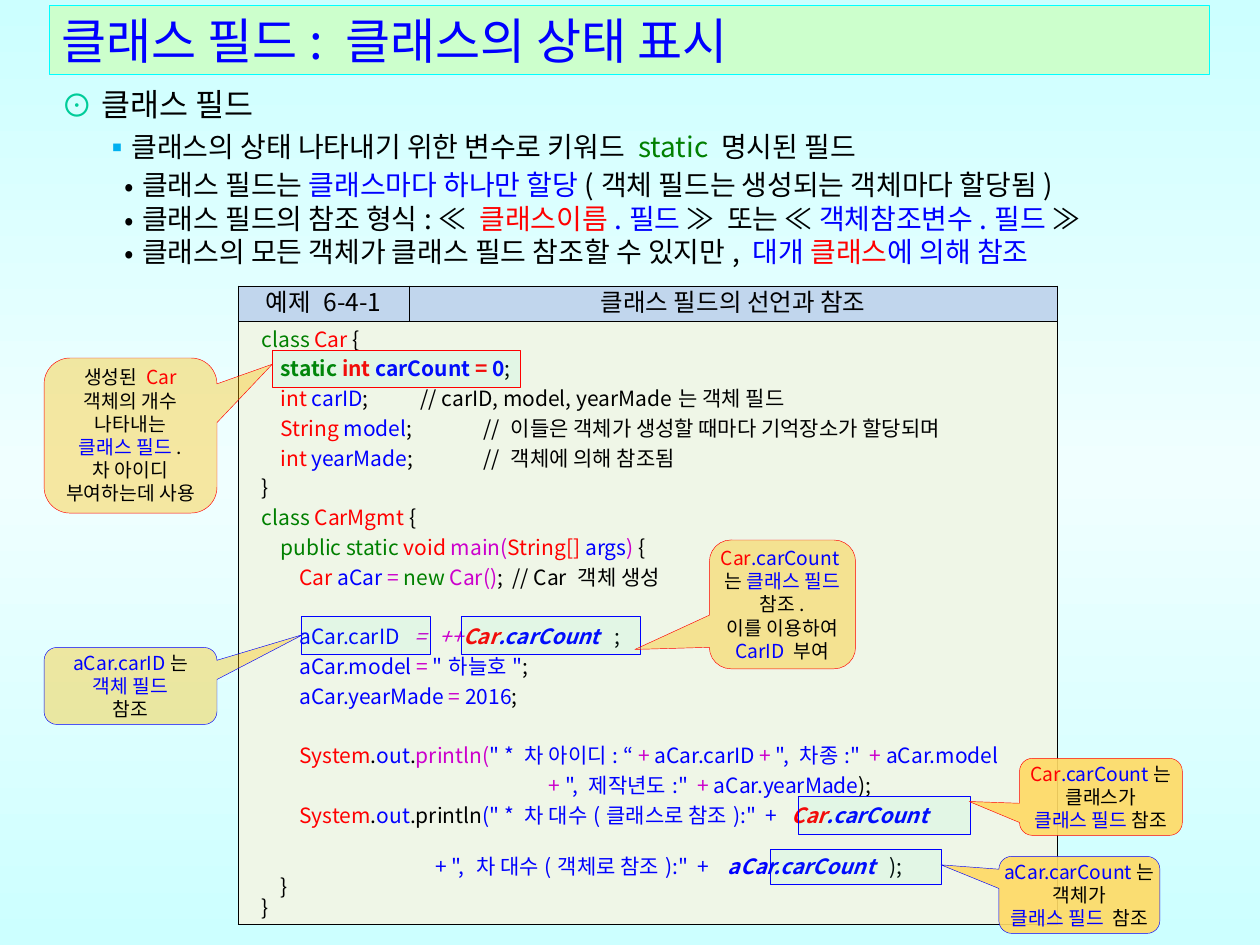
from lxml import etree
from pptx import Presentation
from pptx.dml.color import RGBColor
from pptx.enum.shapes import MSO_SHAPE
from pptx.enum.text import MSO_ANCHOR, MSO_AUTO_SIZE, PP_ALIGN
from pptx.oxml.ns import qn
from pptx.util import Pt

MIDDLE, TOP = MSO_ANCHOR.MIDDLE, MSO_ANCHOR.TOP
LEFT, CENTER = PP_ALIGN.LEFT, PP_ALIGN.CENTER
CALL, BOX = MSO_SHAPE.ROUNDED_RECTANGULAR_CALLOUT, MSO_SHAPE.ROUNDED_RECTANGLE
FIXED = MSO_AUTO_SIZE.NONE

THEME = {
    "font": "Noto Sans CJK KR",
    "title": 28, "head": 18, "body": 16, "label": 14, "code": 12, "note": 11,
    "black": "000000", "blue": "0000FF", "red": "FF0000", "green": "008000",
    "pink": "CC00CC", "teal": "00CC99", "sky": "00B0F0", "aqua": "00FFFF",
    "mint": "CCFFCC", "bar": "C1D6ED", "page": "EFF6E7",
    "gold": "FFC000", "sand": "FFDA65", "mark": "00FFCC",
    "back": [(0, "CCFFFF"), (50, "F0FFFF"), (100, "CCFFFF")],
}

# Text marks: "~" and a letter start a run in that style (colour, bold, italic)
STYLES = {
    "k": ("black", False, False), "b": ("blue", False, False),
    "r": ("red", False, False), "g": ("green", False, False),
    "m": ("pink", False, False), "M": ("pink", False, True),
    "B": ("blue", True, False), "R": ("red", True, False),
    "G": ("green", True, False),
    "X": ("red", True, True), "Y": ("blue", True, True),
}


def write(par, text, size, line=None, gap=0, align=LEFT):
    par.alignment = align
    par.space_before = Pt(gap)
    if line:
        par.line_spacing = Pt(line)
    par.font.name = THEME["font"]
    par.font.size = Pt(THEME[size])
    props = par._p.pPr.find(qn("a:defRPr"))
    etree.SubElement(props, qn("a:ea"), typeface=THEME["font"])
    for part in text.split("~")[1:]:
        color, bold, slant = STYLES[part[0]]
        run = par.add_run()
        run.text = part[1:]
        run.font.color.rgb = RGBColor.from_string(THEME[color])
        if bold:
            run.font.bold = True
        if slant:
            run.font.italic = True


def paint(shape, fill, line, alpha=100):
    shape.fill.solid()
    shape.fill.fore_color.rgb = RGBColor.from_string(THEME[fill])
    shape.line.color.rgb = RGBColor.from_string(THEME[line])
    shape.line.width = Pt(0.25)
    shape.shadow.inherit = False
    if alpha < 100:
        tint = shape._element.spPr.find(qn("a:solidFill"))[0]
        etree.SubElement(tint, qn("a:alpha"), val=str(alpha * 1000))


deck = Presentation()
deck.slide_width, deck.slide_height = Pt(720), Pt(540)
slide = deck.slides.add_slide(deck.slide_layouts[1])

# Background
back = slide.background.fill
back.gradient()
back.gradient_angle = 90
stops = slide._element.find(".//" + qn("a:gsLst"))
for old in list(stops):
    stops.remove(old)
for spot, color in THEME["back"]:
    stop = etree.SubElement(stops, qn("a:gs"), pos=str(spot * 1000))
    etree.SubElement(stop, qn("a:srgbClr"), val=color)

# Title
title = slide.shapes.title
title.left, title.top, title.width, title.height = Pt(28), Pt(3), Pt(663), Pt(39.6)
paint(title, "mint", "aqua")
title.text_frame.auto_size = FIXED
title.text_frame.vertical_anchor = MIDDLE
write(title.text_frame.paragraphs[0], "~b클래스 필드: 클래스의 상태 표시", "title")

# Bullet list: sign, sign colour, indent, hang, size, line, gap, text
ITEMS = [
    ("⊙", "teal", 23, 23, "head", 22, 0, "~k클래스 필드"),
    ("▪", "sky", 39, 15, "body", 22, 1,
     "~k클래스의 상태 나타내기 위한 변수로 키워드 ~gstatic ~k명시된 필드"),
    ("•", "black", 46, 10, "body", 22, 0,
     "~k클래스 필드는 ~b클래스마다 하나만 할당~k(객체 필드는 생성되는 객체마다 할당됨)"),
    ("•", "black", 46, 10, "body", 19, 0,
     "~k클래스 필드의 참조 형식: ≪ ~r클래스이름~b.필드 ~k≫  또는 ≪ ~b객체참조변수.필드 ~k≫"),
    ("•", "black", 46, 10, "body", 19, 0,
     "~k클래스의 모든 객체가 클래스 필드 참조할 수 있지만, ~b대개 ~r클래스~b에 의해 참조"),
]
body = slide.placeholders[1]
body.left, body.top, body.width, body.height = Pt(28), Pt(44.6), Pt(675), Pt(113)
frame = body.text_frame
frame.auto_size = FIXED
frame.vertical_anchor = TOP
for i, (sign, color, left, hang, size, line, gap, text) in enumerate(ITEMS):
    par = frame.add_paragraph() if i else frame.paragraphs[0]
    props = par._p.get_or_add_pPr()
    props.set("marL", str(Pt(left)))
    props.set("indent", str(-Pt(hang)))
    tint = etree.SubElement(props, qn("a:buClr"))
    etree.SubElement(tint, qn("a:srgbClr"), val=THEME[color])
    etree.SubElement(props, qn("a:buFont"), typeface=THEME["font"])
    etree.SubElement(props, qn("a:buChar"), char=sign)
    write(par, text, size, line, gap)

# Code lines: line height, gap above, text
CODE = [
    (17, 0, "~gclass~r Car ~k{"),
    (17, 0, "~G    static ~Rint ~BcarCount~R = ~B0~k;"),
    (17, 0, "~r    int ~bcarID~k;\t       // carID, model, yearMade는 객체 필드"),
    (17, 0, "~r    String ~bmodel~k; \t       // 이들은 객체가 생성할 때마다 기억장소가 할당되며"),
    (17, 0, "~r    int ~byearMade~k; \t       // 객체에 의해 참조됨"),
    (17, 0, "~k}"),
    (17, 0, "~gclass ~rCarMgmt ~k{"),
    (17, 0, "~g    public static ~rvoid ~mmain(~rString[] ~bargs~m) ~k{"),
    (17, 0, "~r        Car ~baCar ~m= ~gnew~m Car()~k;  // Car 객체 생성"),
    (17, 17, "~b        aCar.carID   ~M=   ++~XCar~Y.carCount   ~k;"),
    (17, 0, '~b        aCar.model ~m=~b "하늘호"~k;'),
    (17, 0, "~b        aCar.yearMade ~m=~b 2016~k;"),
    (17, 17, '~r        System~k.~bout~k.~mprintln(~b" * 차 아이디: “ ~m+ ~baCar.carID ~m+'
             '~b ", 차종:"  ~m+ ~baCar.model'),
    (17, 0, "~m" + " " * 61 + '+~b ", 제작년도:"  ~m+ ~baCar.yearMade~k);'),
    (17, 0, '~r        System~k.~bout~k.println~b(" * 차 대수(클래스로 참조):"  +   '
            '~XCar~Y.carCount'),
    (17, 12, "~b" + " " * 37 + '+ ", 차 대수(객체로 참조):"  +    ~YaCar.carCount   ~k);'),
    (12, 0, "~k    }"),
    (12, 0, "~k}"),
]

# Example table
grid = slide.shapes.add_table(2, 2, Pt(136), Pt(163.4), Pt(468), Pt(364)).table
grid.columns[0].width, grid.columns[1].width = Pt(98), Pt(370)
grid.rows[0].height, grid.rows[1].height = Pt(20), Pt(344)
grid.cell(1, 0).merge(grid.cell(1, 1))
for row, fill in enumerate(("bar", "page")):
    for col in range(2):
        cell = grid.cell(row, col)
        cell.vertical_anchor = MIDDLE
        cell.margin_left = cell.margin_right = Pt(5)
        cell.margin_top = cell.margin_bottom = Pt(1.4)
        props = cell._tc.get_or_add_tcPr()
        for side in ("a:lnL", "a:lnR", "a:lnT", "a:lnB"):
            edge = etree.SubElement(props, qn(side), w=str(Pt(0.28)))
            paper = etree.SubElement(edge, qn("a:solidFill"))
            etree.SubElement(paper, qn("a:srgbClr"), val=THEME["black"])
        cell.fill.solid()
        cell.fill.fore_color.rgb = RGBColor.from_string(THEME[fill])
for col, text in enumerate(("~k예제 6-4-1", "~k클래스 필드의 선언과 참조")):
    write(grid.cell(0, col).text_frame.paragraphs[0], text, "label", 17, 0, CENTER)
frame = grid.cell(1, 0).text_frame
for i, (line, gap, text) in enumerate(CODE):
    par = frame.add_paragraph() if i else frame.paragraphs[0]
    props = par._p.get_or_add_pPr()
    props.set("marL", str(Pt(8.6)))
    props.set("indent", "0")
    tabs = etree.SubElement(props, qn("a:tabLst"))
    for stop in (72, 144):
        etree.SubElement(tabs, qn("a:tab"), pos=str(Pt(stop)), algn="l")
    write(par, text, "code", line, gap)

# Frames around code: left, top, width, height, line
MARKS = [
    (155.5, 200.2, 142, 21, "red"),
    (172, 352, 73.6, 21.8, "blue"),
    (263.4, 352, 102.4, 21.8, "blue"),
    (440, 485.4, 98, 20, "blue"),
    (456.2, 455, 98, 21.6, "blue"),
]
for x, y, wide, high, line in MARKS:
    mark = slide.shapes.add_shape(BOX, Pt(x), Pt(y), Pt(wide), Pt(high))
    mark.adjustments[0] = 0
    paint(mark, "mark", line, 5)

# Callouts: left, top, width, height, tip across, tip down, fill, alpha, line, text
NOTES = [
    (25.2, 204.6, 98.8, 88.6, 0.82, -0.46, "gold", 37, "red",
     ["~k생성된 ~rCar", "~k객체의 개수", "~k나타내는", "~b클래스 필드~k.",
      "~k차 아이디", "~k부여하는데 사용"]),
    (25.2, 370, 98.8, 44, 1, -0.67, "gold", 37, "blue",
     ["~baCar.carID~k는", "~b객체 필드", "~k참조"]),
    (405.4, 308.6, 83.5, 73.6, -1.01, 0.35, "gold", 37, "red",
     ["~rCar~b.carCount~k는 ~b클래스 필드", "~k참조.", "~k이를 이용하여 ~bCarID ~k부여"]),
    (570.8, 489.4, 92, 44, -0.86, -0.39, "sand", 91, "blue",
     ["~baCar.carCount~k는 객체가", "~b클래스 필드  ~k참조"]),
    (582.6, 433.4, 93, 44, -0.81, 0.06, "sand", 91, "red",
     ["~rCar~b.carCount~k는 클래스가", "~b클래스 필드 ~k참조"]),
]
for x, y, wide, high, across, down, fill, alpha, line, lines in NOTES:
    note = slide.shapes.add_shape(CALL, Pt(x), Pt(y), Pt(wide), Pt(high))
    note.adjustments[0], note.adjustments[1] = across, down
    paint(note, fill, line, alpha)
    frame = note.text_frame
    frame.word_wrap = True
    frame.vertical_anchor = TOP
    frame.margin_left = frame.margin_right = 0
    frame.margin_top = frame.margin_bottom = 0
    for i, text in enumerate(lines):
        par = frame.add_paragraph() if i else frame.paragraphs[0]
        write(par, text, "note", 13.25, 0, CENTER)

deck.save("out.pptx")
